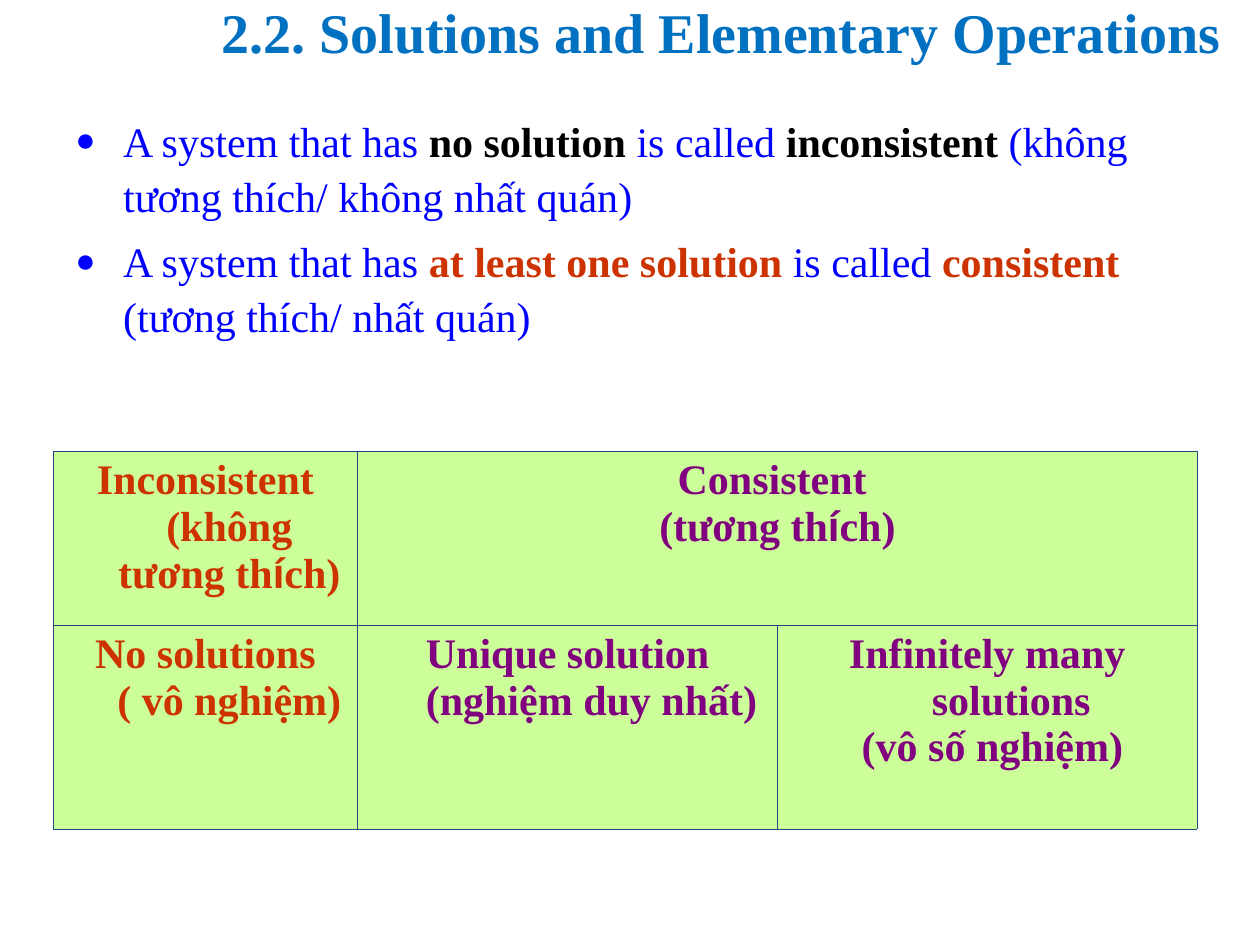
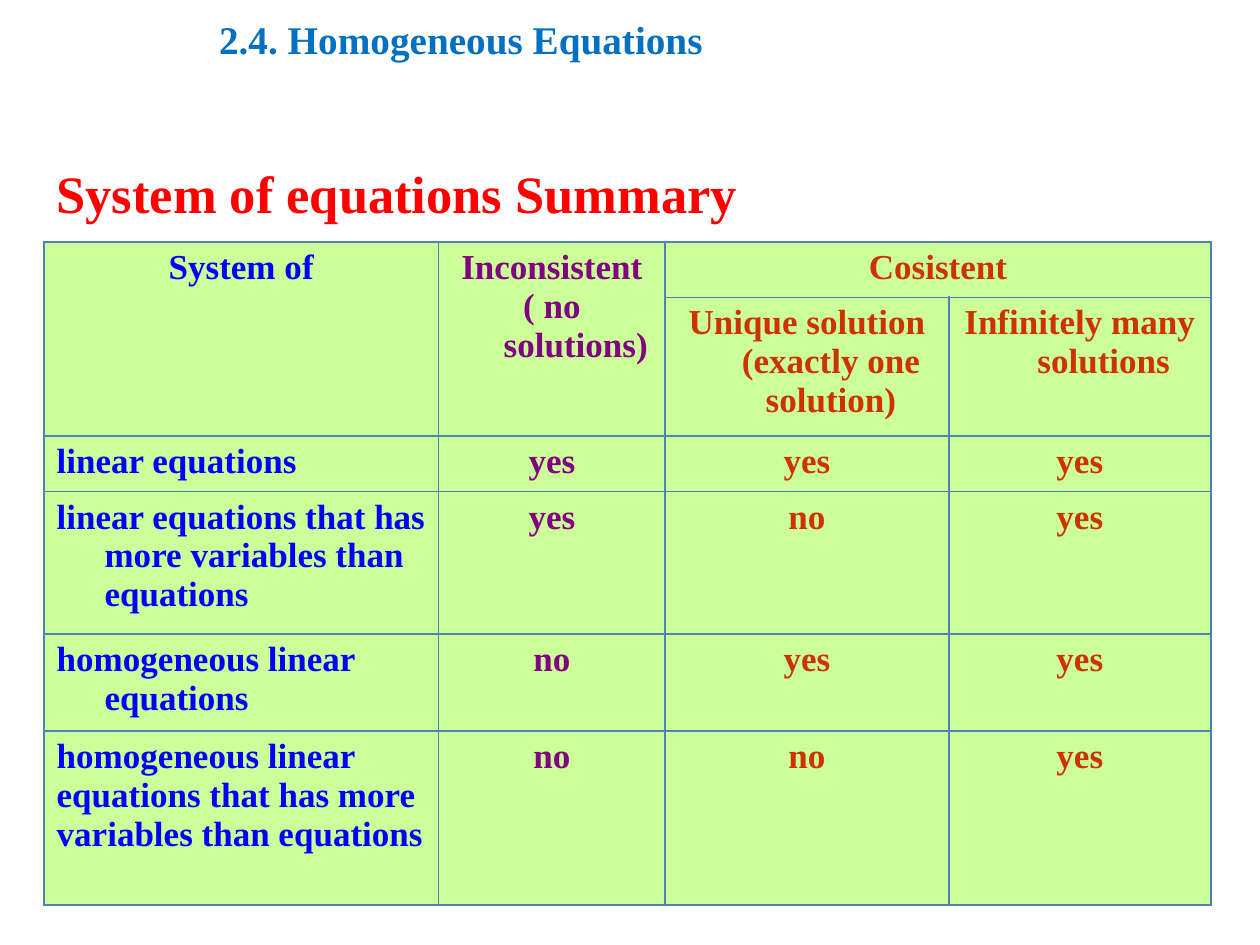
from dataclasses import dataclass
from typing import NamedTuple

from lxml import etree
from pptx import Presentation
from pptx.dml.color import RGBColor
from pptx.enum import text
from pptx.oxml import ns
from pptx.slide import Slide
from pptx.table import _Cell
from pptx.text import text as body
from pptx.util import Emu, Inches, Pt


@dataclass(frozen=True)
class Theme:
    serif: str = "Times New Roman"
    sans: str = "Arial"
    heading: str = "0070C0"
    summary: str = "FF0000"
    blue: str = "0000FF"
    black: str = "000000"
    rust: str = "CC3300"
    purple: str = "800080"
    cell: str = "CCFF99"
    navy_rule: str = "1F497D"
    blue_rule: str = "4F81BD"
    chapter_size: float = 32
    section_size: float = 22.4
    summary_size: float = 30
    definition_size: float = 24
    matrix_size: float = 20


THEME = Theme()
WIDTH, HEIGHT = Inches(10), Inches(7.5)
COLUMN, ROW = WIDTH / 100, HEIGHT / 75
HANGING = Inches(0.38)


class Box(NamedTuple):
    left: float
    top: float
    width: float
    height: float

    def lengths(self) -> list[Emu]:
        units = (COLUMN, ROW, COLUMN, ROW)
        return [Emu(round(share * unit)) for share, unit in zip(self, units)]


class Span(NamedTuple):
    words: str
    color: str
    bold: bool = True
    font: str = THEME.serif


Line = list[Span]


class Entry(NamedTuple):
    row: int
    column: int
    lines: list[Line]
    rows: int = 1
    columns: int = 1
    centered: bool = True


@dataclass(frozen=True)
class Caption:
    box: Box
    lines: list[Line]
    size: float
    anchor: text.MSO_ANCHOR = text.MSO_ANCHOR.MIDDLE
    spacing: float = 1.0
    bulleted: bool = False


@dataclass(frozen=True)
class Matrix:
    left: float
    top: float
    columns: list[float]
    rows: list[float]
    entries: list[Entry]
    size: float
    rule: str
    rule_width: float


def apply(target: object, values: dict[str, object]) -> None:
    for key, value in values.items():
        setattr(target, key, value)


def plain(color: str, *lines: str) -> list[Line]:
    return [[Span(line, color)] for line in lines]


def thich(before: str, color: str) -> Line:
    return [Span(before + "th", color), Span("í", color, font=THEME.sans), Span("ch)", color)]


def definition(count: str, kind: str, color: str, translation: str) -> Line:
    return [
        Span("A system that has ", THEME.blue, False),
        Span(count, color),
        Span(" is called ", THEME.blue, False),
        Span(kind, color),
        Span(f" ({translation})", THEME.blue, False),
    ]


def write_lines(frame: body.TextFrame, lines: list[Line], size: float,
                formats: dict[str, object], hanging: bool) -> list[body._Paragraph]:
    paragraphs = [frame.paragraphs[0]] + [frame.add_paragraph() for _ in lines[1:]]
    for paragraph, line in zip(paragraphs, lines):
        apply(paragraph, formats)
        if hanging:
            properties = paragraph._p.get_or_add_pPr()
            properties.set("marL", str(HANGING))
            properties.set("indent", str(-HANGING))
        for span in line:
            run = paragraph.add_run()
            run.text = span.words
            apply(run.font, {"size": Pt(size), "name": span.font, "bold": span.bold})
            run.font.color.rgb = RGBColor.from_string(span.color)
    return paragraphs


def add_bullet(paragraph: body._Paragraph) -> None:
    properties = paragraph._p.get_or_add_pPr()
    color = etree.SubElement(properties, ns.qn("a:buClr"))
    etree.SubElement(color, ns.qn("a:srgbClr"), val=THEME.blue)
    etree.SubElement(properties, ns.qn("a:buSzPct"), val="80000")
    etree.SubElement(properties, ns.qn("a:buFont"), typeface=THEME.serif)
    etree.SubElement(properties, ns.qn("a:buChar"), char="●")


def draw_caption(slide: Slide, caption: Caption) -> None:
    frame = slide.shapes.add_textbox(*caption.box.lengths()).text_frame
    apply(frame, {"word_wrap": True, "vertical_anchor": caption.anchor})
    formats: dict[str, object] = {"line_spacing": caption.spacing}
    if caption.bulleted:
        formats["space_before"] = Pt(6)
    paragraphs = write_lines(frame, caption.lines, caption.size, formats, caption.bulleted)
    if caption.bulleted:
        for paragraph in paragraphs:
            add_bullet(paragraph)


def paint_cell(cell: _Cell, rule: str, width: float) -> None:
    properties = cell._tc.get_or_add_tcPr()
    for side in ("lnL", "lnR", "lnT", "lnB"):
        border = etree.SubElement(properties, ns.qn(f"a:{side}"), w=str(Pt(width)))
        fill = etree.SubElement(border, ns.qn("a:solidFill"))
        etree.SubElement(fill, ns.qn("a:srgbClr"), val=rule)
    cell.fill.solid()
    cell.fill.fore_color.rgb = RGBColor.from_string(THEME.cell)


def draw_matrix(slide: Slide, matrix: Matrix) -> None:
    box = Box(matrix.left, matrix.top, sum(matrix.columns), sum(matrix.rows))
    table = slide.shapes.add_table(
        len(matrix.rows), len(matrix.columns), *box.lengths()).table
    apply(table, {"first_row": False, "horz_banding": False})
    for column, share in zip(table.columns, matrix.columns):
        column.width = Emu(round(share * COLUMN))
    for row, share in zip(table.rows, matrix.rows):
        row.height = Emu(round(share * ROW))
    for cell in table.iter_cells():
        paint_cell(cell, matrix.rule, matrix.rule_width)
    for entry in matrix.entries:
        cell = table.cell(entry.row, entry.column)
        if entry.rows * entry.columns > 1:
            cell.merge(table.cell(entry.row + entry.rows - 1,
                                  entry.column + entry.columns - 1))
        alignment = text.PP_ALIGN.CENTER if entry.centered else text.PP_ALIGN.LEFT
        write_lines(cell.text_frame, entry.lines, matrix.size, {"alignment": alignment}, True)


DEFINITIONS = Caption(
    Box(5, 8.3, 88.3, 25.8),
    [
        definition("no solution", "inconsistent", THEME.black,
                   "không tương thích/ không nhất quán"),
        definition("at least one solution", "consistent", THEME.rust,
                   "tương thích/ nhất quán"),
    ],
    THEME.definition_size, text.MSO_ANCHOR.TOP, 1.09, True,
)
CHAPTER = Caption(
    Box(16.6, -0.7, 81.5, 6.4),
    plain(THEME.heading, "2.2. Solutions and Elementary Operations"),
    THEME.chapter_size, text.MSO_ANCHOR.TOP,
)
SOLUTION_KINDS = Matrix(
    4.2, 35.8, [24.2, 33.3, 33.3], [13.8, 16.2],
    [
        Entry(0, 0, [thich("Inconsistent (không tương ", THEME.rust)]),
        Entry(0, 1, plain(THEME.purple, "Consistent ") + [thich("(tương ", THEME.purple)],
              columns=2),
        Entry(1, 0, plain(THEME.rust, "No solutions ( vô nghiệm)")),
        Entry(1, 1, plain(THEME.purple, "Unique solution (nghiệm duy nhất)")),
        Entry(1, 2, plain(THEME.purple, "Infinitely many solutions", " (vô số nghiệm)")),
    ],
    THEME.definition_size, THEME.navy_rule, 0.45,
)

SUMMARY = Caption(
    Box(3.5, 13.2, 90, 4.2),
    plain(THEME.summary, "System of equations Summary"), THEME.summary_size,
)
SECTION = Caption(
    Box(16.4, 1, 79.2, 4.9),
    plain(THEME.heading, "2.4. Homogeneous Equations"), THEME.section_size, spacing=0.8,
)
SYSTEMS = [
    (["linear equations"], ["yes", "yes", "yes"]),
    (["linear equations that has more variables than equations"], ["yes", "no", "yes"]),
    (["homogeneous linear equations"], ["no", "yes", "yes"]),
    (["homogeneous linear", "equations that has more", "variables than equations"],
     ["no", "no", "yes"]),
]
ANSWER_COLORS = [THEME.purple, THEME.rust, THEME.rust]
SUMMARY_HEADS = [
    Entry(0, 0, plain(THEME.blue, "System of"), rows=2),
    Entry(0, 1, plain(THEME.purple, "Inconsistent", "( no solutions)"), rows=2),
    Entry(0, 2, plain(THEME.rust, "Cosistent"), columns=2),
    Entry(1, 2, plain(THEME.rust, "Unique solution (exactly one solution)")),
    Entry(1, 3, plain(THEME.rust, "Infinitely many solutions")),
]
SYSTEM_NAMES = [
    Entry(row, 0, plain(THEME.blue, *name), centered=False)
    for row, (name, _) in enumerate(SYSTEMS, 2)
]
SYSTEM_ANSWERS = [
    Entry(row, column, plain(color, answer))
    for row, (_, answers) in enumerate(SYSTEMS, 2)
    for column, (answer, color) in enumerate(zip(answers, ANSWER_COLORS), 1)
]
SYSTEM_SUMMARY = Matrix(
    3.5, 19.2, [31.3, 18, 22.5, 20.8], [4.4, 11, 4.4, 11.3, 7.7, 13.8],
    SUMMARY_HEADS + SYSTEM_NAMES + SYSTEM_ANSWERS,
    THEME.matrix_size, THEME.blue_rule, 1.08,
)


def main() -> None:
    deck = Presentation()
    apply(deck, {"slide_width": WIDTH, "slide_height": HEIGHT})
    blank = deck.slide_layouts[6]
    for opening, matrix, heading in (
        (DEFINITIONS, SOLUTION_KINDS, CHAPTER),
        (SUMMARY, SYSTEM_SUMMARY, SECTION),
    ):
        slide = deck.slides.add_slide(blank)
        draw_caption(slide, opening)
        draw_matrix(slide, matrix)
        draw_caption(slide, heading)
    deck.save("out.pptx")


if __name__ == "__main__":
    main()
